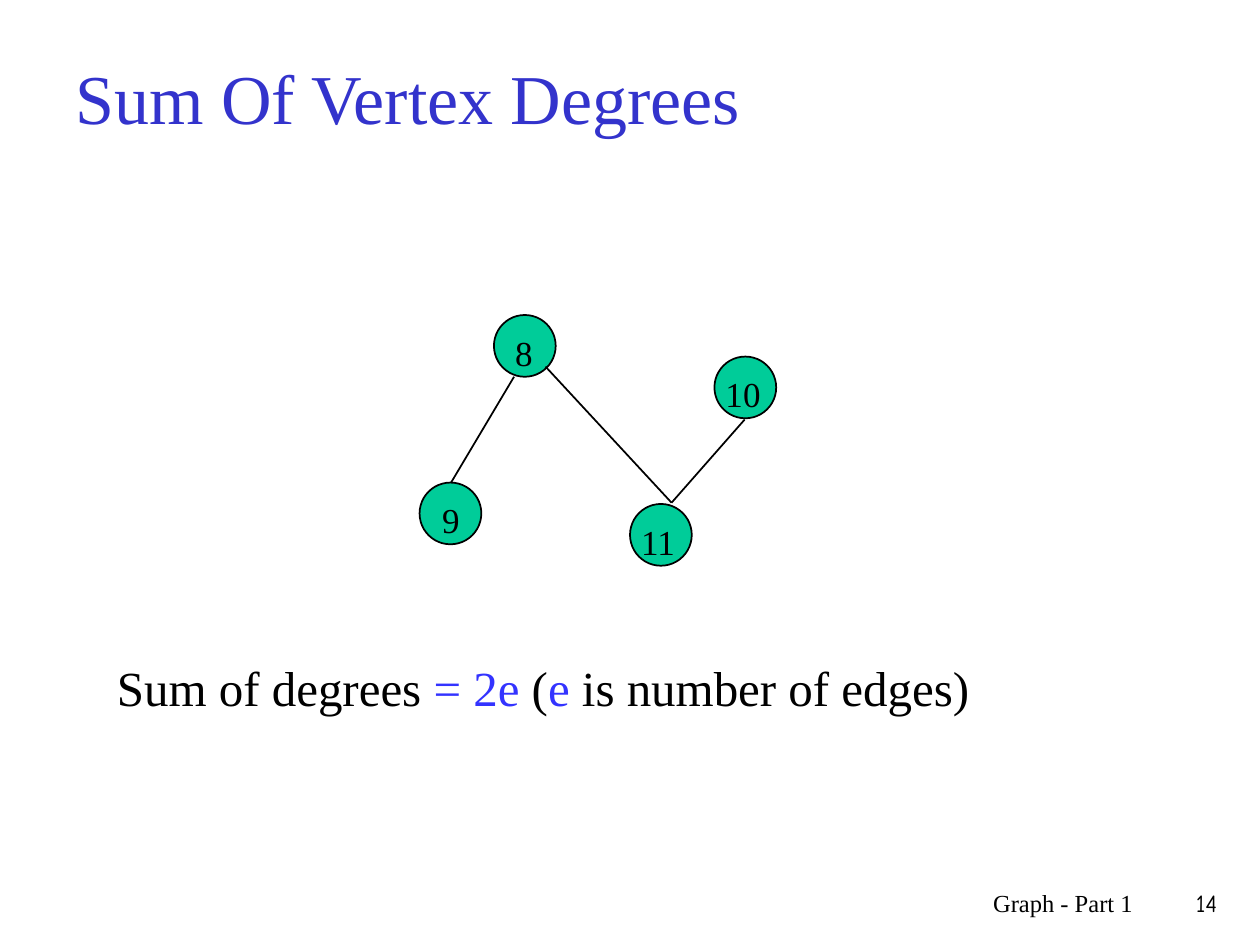
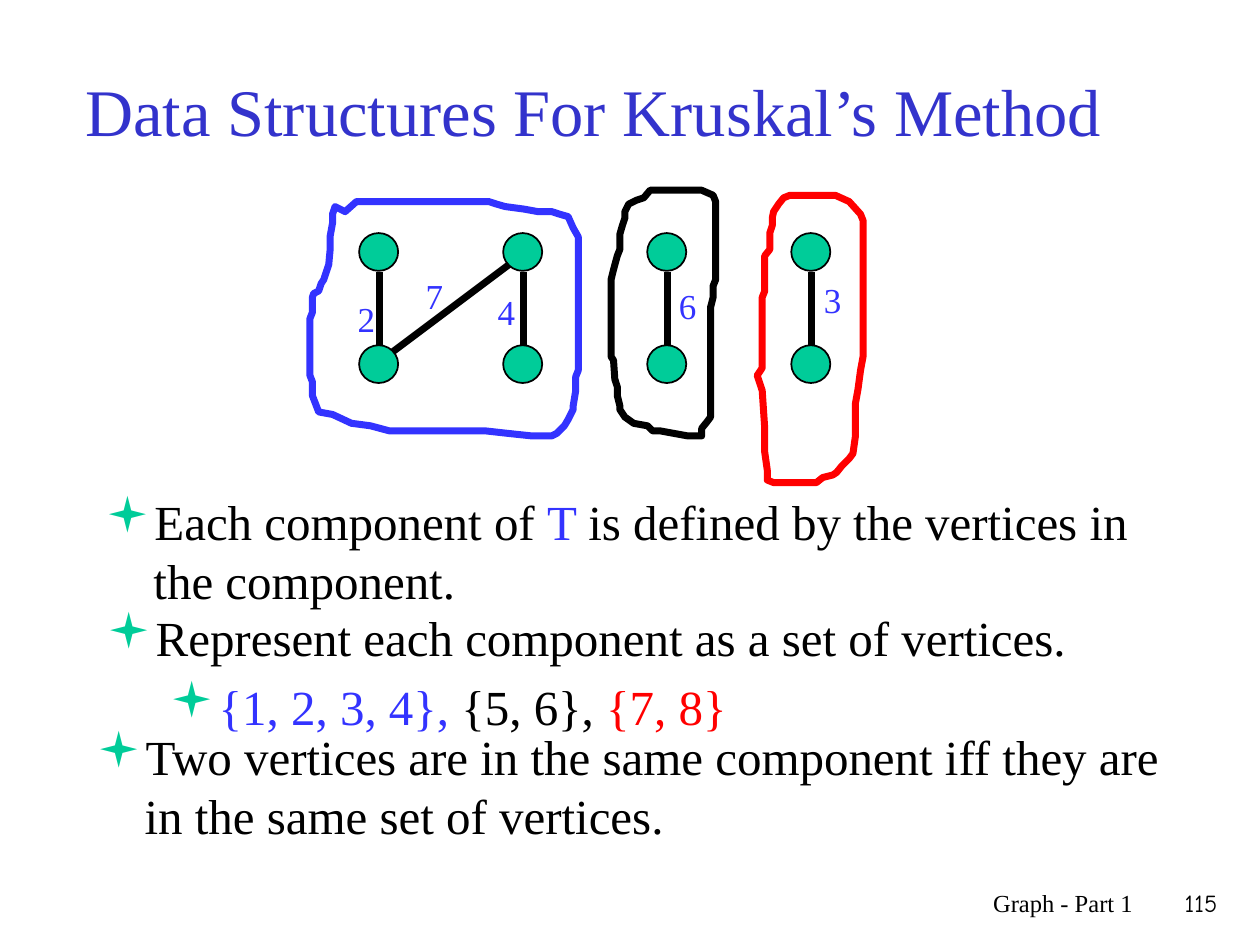
import pptx
import pptx.util
import pptx.dml.color
import pptx.enum.shapes
import pptx.enum.text
import pptx.oxml
import pptx.oxml.ns

Inches = pptx.util.Inches
Pt = pptx.util.Pt
Align = pptx.enum.text.PP_ALIGN
Anchor = pptx.enum.text.MSO_ANCHOR


class Theme:
    font = "Times New Roman"
    num_font = "Comic Neue"
    title = "3333CC"
    ink = "000000"
    blue = "3333FF"
    red = "FF0000"
    green = "00CC99"
    body_size = 28
    label_size = 20
    foot_size = 14
    thin = 1
    thick = 4
    hang = [(0.38, -0.38), (0.81, -0.31)]  # left margin and indent by level


def rgb(code):
    return pptx.dml.color.RGBColor.from_string(code)


def write(slide, box, paras, size, font=Theme.font, align=Align.LEFT,
          anchor=Anchor.TOP, hang=False, mark=None):
    """Add a text box; each paragraph is a list of (text, colour) runs."""
    shape = slide.shapes.add_textbox(*map(Inches, box))
    frame = shape.text_frame
    frame.word_wrap = True
    frame.vertical_anchor = anchor
    for level, runs in enumerate(paras):
        para = frame.add_paragraph() if level else frame.paragraphs[0]
        para.alignment = align
        if level:
            para.level = level
            para.space_before = Pt(6)
        if hang:
            props = para._p.get_or_add_pPr()
            left, indent = Theme.hang[level]
            props.set("marL", str(Inches(left)))
            props.set("indent", str(Inches(indent)))
            if mark:
                space = pptx.oxml.ns.nsdecls("a")
                for part in (
                    f'<a:buClr {space}><a:srgbClr val="{Theme.green}"/></a:buClr>',
                    f'<a:buFont {space} typeface="Wingdings"/>',
                    f'<a:buChar {space} char="{mark}"/>',
                ):
                    props.append(pptx.oxml.parse_xml(part))
        for text, color in runs:
            run = para.add_run()
            run.text = text
            run.font.size = Pt(size)
            run.font.name = font
            run.font.color.rgb = rgb(color)


# Vertices of the three component outlines, in hundredths of an inch.
rings = [
    (Theme.blue, [
        (274, 168), (266, 164), (264, 170), (264, 177), (262, 188), (262, 199),
        (261, 210), (257, 222), (255, 225), (253, 231), (249, 233), (248, 236),
        (248, 248), (246, 253), (246, 298), (248, 303), (248, 314), (253, 327),
        (264, 329), (279, 336), (294, 338), (309, 342), (385, 342), (403, 344),
        (422, 346), (438, 346), (442, 344), (448, 338), (451, 333), (455, 325),
        (455, 322), (457, 310), (457, 299), (459, 294), (459, 188), (455, 181),
        (451, 172), (444, 170), (438, 168), (427, 168), (416, 166), (401, 164),
        (394, 162), (388, 160), (283, 160)]),
    (Theme.ink, [
        (557, 151), (516, 151), (511, 157), (505, 159), (499, 162), (496, 168),
        (496, 173), (494, 179), (492, 186), (492, 198), (490, 203), (487, 214),
        (485, 222), (485, 283), (487, 286), (488, 301), (490, 307), (490, 314),
        (492, 322), (492, 325), (496, 331), (503, 336), (514, 338), (518, 342),
        (524, 342), (546, 346), (557, 346), (557, 340), (561, 335), (564, 331),
        (564, 244), (566, 236), (566, 227), (568, 222), (568, 160), (566, 155)]),
    (Theme.red, [
        (674, 160), (663, 155), (627, 155), (622, 157), (618, 162), (614, 168),
        (613, 173), (613, 179), (611, 185), (611, 198), (607, 203), (607, 231),
        (605, 236), (605, 292), (601, 298), (605, 310), (607, 340), (607, 359),
        (609, 373), (609, 381), (614, 383), (648, 383), (653, 379), (661, 377),
        (664, 375), (668, 370), (674, 364), (677, 360), (679, 346), (679, 320),
        (681, 309), (683, 294), (685, 283), (685, 175), (683, 170)]),
]

# Four columns of vertices in two rows.
cols = [2.85 + 3.43 * i / 3 for i in range(4)]
rows = [1.85, 2.74]
links = [((x + 0.16, 2.16), (x + 0.16, 2.74)) for x in cols]

pages = [
    dict(
        title="Sum Of Vertex Degrees", title_box=(0.5, 0.3, 9, 0.93),
        title_size=40, number="14",
        nodes=[(3.92, 2.5), (5.67, 2.83), (3.33, 3.83), (5, 4)],
        node_size=(0.49, 0.49),
        edges=[((4.08, 2.99), (3.58, 3.83)), ((4.33, 2.91), (5.33, 3.99)),
               ((5.33, 3.99), (5.91, 3.33))],
        edge_width=Theme.thin,
        labels=[("8", 3.99, 2.58, 0.25), ("10", 5.66, 2.91, 0.5),
                ("9", 3.41, 3.91, 0.25), ("11", 4.99, 4.08, 0.83)],
        label_color=Theme.ink, rings=[], mark=None,
        texts=[((0.83, 5.17, 8.5, 1.34), [[
            ("Sum of degrees ", Theme.ink), ("= 2e ", Theme.blue),
            ("(", Theme.ink), ("e ", Theme.blue),
            ("is number of edges)", Theme.ink)]])],
    ),
    dict(
        title="Data Structures For Kruskal’s Method",
        title_box=(0.58, 0.25, 8.5, 1.25), title_size=38, number="115",
        nodes=[(x, y) for y in rows for x in cols], node_size=(0.31, 0.3),
        edges=links + [((3.12, 2.79), (4.04, 2.1))], edge_width=Theme.thick,
        labels=[("2", 2.74, 2.31, 0.22), ("3", 6.44, 2.16, 0.22),
                ("4", 3.85, 2.26, 0.22), ("6", 5.29, 2.21, 0.22),
                ("7", 3.28, 2.13, 0.22)],
        label_color=Theme.blue, rings=rings, mark="▪",
        texts=[
            ((0.74, 3.85, 8.83, 1.17), [[
                ("Each component of ", Theme.ink), ("T ", Theme.blue),
                ("is defined by the vertices in the component.", Theme.ink)]]),
            ((0.75, 4.77, 8.83, 1.17), [
                [("Represent each component as a set of vertices.", Theme.ink)],
                [("{1, 2, 3, 4}, ", Theme.blue), ("{5, 6}, ", Theme.ink),
                 ("{7, 8}", Theme.red)]]),
            ((0.67, 5.72, 8.83, 1.17), [[
                ("Two vertices are in the same component iff they are "
                 "in the same set of vertices.", Theme.ink)]]),
        ],
    ),
]

deck = pptx.Presentation()
deck.slide_width = Inches(10)
deck.slide_height = Inches(7.5)

for page in pages:
    slide = deck.slides.add_slide(deck.slide_layouts[6])
    write(slide, page["title_box"], [[(page["title"], Theme.title)]],
          page["title_size"], anchor=Anchor.MIDDLE)

    for x, y in page["nodes"]:
        node = slide.shapes.add_shape(
            pptx.enum.shapes.MSO_SHAPE.OVAL,
            *map(Inches, (x, y, *page["node_size"])))
        node.shadow.inherit = False
        node.fill.solid()
        node.fill.fore_color.rgb = rgb(Theme.green)
        node.line.color.rgb = rgb(Theme.ink)
        node.line.width = Pt(Theme.thin)

    for start, end in page["edges"]:
        edge = slide.shapes.add_connector(
            pptx.enum.shapes.MSO_CONNECTOR.STRAIGHT,
            *map(Inches, start + end))
        edge.line.color.rgb = rgb(Theme.ink)
        edge.line.width = Pt(page["edge_width"])
        edge._element.spPr.append(pptx.oxml.parse_xml(
            f'<a:effectLst {pptx.oxml.ns.nsdecls("a")}/>'))

    for text, x, y, width in page["labels"]:
        write(slide, (x, y, width, 0.43), [[(text, page["label_color"])]],
              Theme.label_size)

    for color, points in page["rings"]:
        pen = slide.shapes.build_freeform(*points[0], scale=Inches(0.01))
        pen.add_line_segments(points[1:], close=True)
        ring = pen.convert_to_shape()
        ring.shadow.inherit = False
        ring.fill.background()
        ring.line.color.rgb = rgb(color)
        ring.line.width = Pt(Theme.thick)
        ring.line._get_or_add_ln().append(pptx.oxml.parse_xml(
            f'<a:round {pptx.oxml.ns.nsdecls("a")}/>'))

    for box, paras in page["texts"]:
        write(slide, box, paras, Theme.body_size, hang=True, mark=page["mark"])

    write(slide, (5.92, 7, 3.17, 0.5), [[("Graph - Part 1", Theme.ink)]],
          Theme.foot_size, align=Align.RIGHT)
    write(slide, (9.08, 7, 0.68, 0.5), [[(page["number"], Theme.ink)]],
          Theme.foot_size, font=Theme.num_font, align=Align.RIGHT)

deck.save("out.pptx")
